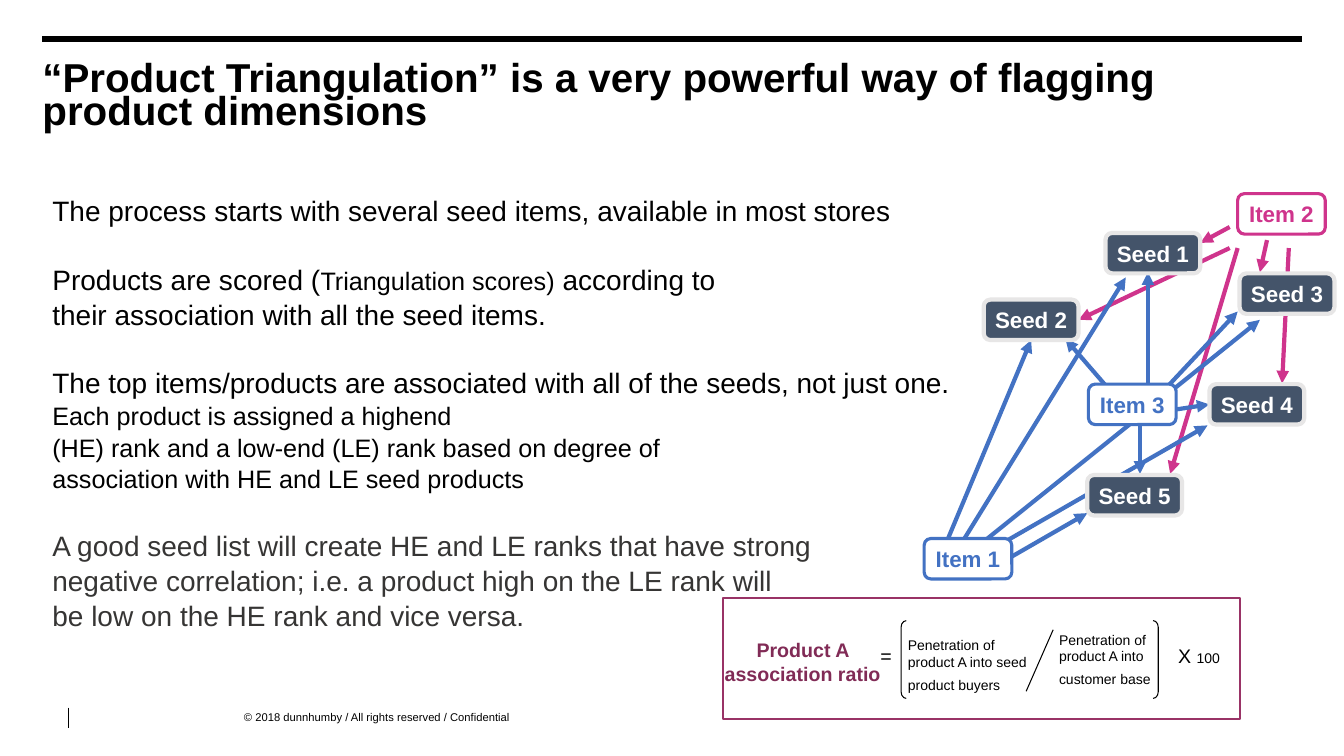
from lxml import etree
from pptx import Presentation
from pptx.dml.color import RGBColor
from pptx.enum.shapes import MSO_CONNECTOR, MSO_SHAPE
from pptx.enum.text import MSO_ANCHOR, PP_ALIGN
from pptx.oxml.ns import qn
from pptx.util import Cm, Pt

STRAIGHT = MSO_CONNECTOR.STRAIGHT
ROUNDED, RECTANGLE = MSO_SHAPE.ROUNDED_RECTANGLE, MSO_SHAPE.RECTANGLE
LEFT_BRACKET, RIGHT_BRACKET = MSO_SHAPE.LEFT_BRACKET, MSO_SHAPE.RIGHT_BRACKET
TOP, MIDDLE = MSO_ANCHOR.TOP, MSO_ANCHOR.MIDDLE
LEFT, CENTER = PP_ALIGN.LEFT, PP_ALIGN.CENTER

BLACK = RGBColor(0x00, 0x00, 0x00)
WHITE = RGBColor(0xFF, 0xFF, 0xFF)
CHARCOAL = RGBColor(0x36, 0x35, 0x34)
SLATE = RGBColor(0x44, 0x54, 0x6A)
PALE = RGBColor(0xE7, 0xE6, 0xE6)
BLUE = RGBColor(0x43, 0x72, 0xC3)
PINK = RGBColor(0xCF, 0x34, 0x8C)
PLUM = RGBColor(0x81, 0x2B, 0x56)
FRAME = RGBColor(0x99, 0x33, 0x66)

RIGHT_SIDE, LEFT_SIDE, BOTTOM_SIDE = 3, 1, 2

BODY = [
    ([("The process starts with several seed items, available in most stores", 20)], 0, BLACK),
    ([("Products are scored (", 20), ("Triangulation scores)", 18), (" according to", 20)], 24, BLACK),
    ([("their association with all the seed items.", 20)], 0, BLACK),
    ([("The top items/products are associated with all of the seeds, not just one.", 20)], 24, BLACK),
    ([("Each product is assigned a highend", 18)], 0, BLACK),
    ([("(HE) rank and a low-end (LE) rank based on degree of", 18)], 0, BLACK),
    ([("association with HE and LE seed products", 18)], 0, BLACK),
    ([("A good seed list will create HE and LE ranks that have strong", 20)], 24, CHARCOAL),
    ([("negative correlation; i.e. a product high on the LE rank will", 20)], 0, CHARCOAL),
    ([("be low on the HE rank and vice versa.", 20)], 0, CHARCOAL),
]

NODES = [
    ("Seed 1", 4.57, 0.99), ("Seed 2", 1.5, 2.67), ("Seed 4", 7.19, 4.8),
    ("Item 3", 4.14, 4.8), ("Seed 5", 4.11, 7.09), ("Item 1", 0, 8.69),
    ("Item 2", 7.9, 0), ("Seed 3", 7.95, 2.01),
]
ITEM_COLOURS = {"Item 1": BLUE, "Item 2": PINK, "Item 3": BLUE}

ARROWS = [
    (PINK, (8.64, 1.17), (8.46, 1.98), None),
    (PINK, (7.7, 0.84), (6.96, 1.24), None),
    (PINK, (9.19, 1.37), (9.02, 4.78), None),
    (PINK, (7.9, 1.37), (6.2, 7.06), None),
    (PINK, (7.7, 1.37), (3.94, 3.25), ("Seed 2", RIGHT_SIDE)),
    (BLUE, (6.2, 5.46), (7.14, 5.38), ("Seed 4", LEFT_SIDE)),
    (BLUE, (5.44, 5.84), (5.44, 7.06), None),
    (BLUE, (4.7, 4.98), (3.56, 3.66), None),
    (BLUE, (5.64, 4.98), (5.64, 1.98), None),
    (BLUE, (6.02, 4.98), (7.9, 2.97), None),
    (BLUE, (0.56, 8.79), (2.62, 3.66), ("Seed 2", BOTTOM_SIDE)),
    (BLUE, (0.91, 8.86), (5.08, 2.11), None),
    (BLUE, (1.12, 9.07), (8.46, 3.18), None),
    (BLUE, (0.94, 9.4), (7.14, 5.84), None),
    (BLUE, (1.68, 9.45), (4.11, 8.05), None),
]

FORMULA_TEXTS = [
    ([("Product A association ratio", 14)], (-0.23, 0.89, 4.5, 1.45), PLUM, True, CENTER),
    ([("=", 14)], (3.73, 1.04, 0.71, 0.84), BLACK, False, LEFT),
    ([("Penetration of product A into seed product buyers", 10), (" ", 14)],
     (4.42, 0.86, 3.56, 1.7), BLACK, False, LEFT),
    ([("Penetration of product A into customer base", 10), (" ", 14)],
     (8.23, 0.71, 3.15, 1.7), BLACK, False, LEFT),
    ([("X ", 14), ("100", 10)], (11.23, 1.04, 1.8, 0.84), BLACK, False, LEFT),
]


def write(para, spans, colour=BLACK, bold=False, align=LEFT, spacing=None, before=0):
    para.alignment = align
    if spacing:
        para.line_spacing = spacing
    if before:
        para.space_before = Pt(before)
    for text, size in spans:
        span = para.add_run()
        span.text = text
        span.font.name = "Arial"
        span.font.size = Pt(size)
        span.font.bold = bold
        span.font.color.rgb = colour


def set_margins(frame, side, top, bottom):
    frame.margin_left = frame.margin_right = Cm(side)
    frame.margin_top, frame.margin_bottom = Cm(top), Cm(bottom)


def add_text(page, left, top, width, height, side=0.25, inset=0.13):
    box = page.shapes.add_textbox(Cm(left), Cm(top), Cm(width), Cm(height))
    frame = box.text_frame
    frame.word_wrap = True
    frame.vertical_anchor = TOP
    set_margins(frame, side, inset, min(inset, 0.13))
    return frame


def add_line(page, start, end, colour, weight, arrow=False):
    line = page.shapes.add_connector(STRAIGHT, *(Cm(value) for value in start + end))
    line.line.color.rgb = colour
    line.line.width = Pt(weight)
    properties = line.element.spPr
    if arrow:
        etree.SubElement(properties.find(qn("a:ln")), qn("a:tailEnd"), type="triangle")
    etree.SubElement(properties, qn("a:effectLst"))
    return line


def add_outline(page, kind, left, top, width, height, colour, weight, fill=None):
    shape = page.shapes.add_shape(kind, Cm(left), Cm(top), Cm(width), Cm(height))
    shape.shadow.inherit = False
    if fill is None:
        shape.fill.background()
    else:
        shape.fill.solid()
        shape.fill.fore_color.rgb = fill
    shape.line.color.rgb = colour
    shape.line.width = Pt(weight)
    return shape


def draw_header(page, left, top, width):
    add_line(page, (left, top), (left + width, top), BLACK, 4)
    title = add_text(page, left, top + 0.69, width, 1.12, side=0, inset=0)
    write(title.paragraphs[0],
          [("“Product Triangulation” is a very powerful way of flagging product dimensions", 28.8)],
          bold=True, spacing=Pt(24))


def draw_footer(page, left, top):
    add_line(page, (left, top), (left, top + 0.51), BLACK, 1)
    notice = add_text(page, left + 4.42, top + 0.08, 8.74, 0.33, side=0, inset=0)
    write(notice.paragraphs[0], [("© 2018 dunnhumby / All rights reserved / Confidential", 8)])


def draw_body(page, left, top, width, height):
    frame = add_text(page, left, top, width, height, inset=0.99)
    for index, (spans, before, colour) in enumerate(BODY):
        para = frame.add_paragraph() if index else frame.paragraphs[0]
        write(para, spans, colour=colour, spacing=1.04, before=before)


def draw_network(page, left, top):
    nodes = {}
    for name, x, y in NODES:
        accent = ITEM_COLOURS.get(name)
        width, fill, edge, weight, ink = (
            (2.21, WHITE, accent, 2.25, accent) if accent else (2.39, SLATE, PALE, 3, WHITE))
        node = add_outline(page, ROUNDED, left + x, top + y, width, 1.02, edge, weight, fill)
        frame = node.text_frame
        frame.word_wrap = False
        frame.vertical_anchor = MIDDLE
        set_margins(frame, 0.23, 0.13, 0.13)
        write(frame.paragraphs[0], [(name, 16)], colour=ink, bold=True, align=CENTER)
        nodes[name] = node
    backmost = nodes[NODES[0][0]]
    for colour, start, end, joint in ARROWS:
        start, end = ((left + x, top + y) for x, y in (start, end))
        arrow = add_line(page, start, end, colour, 3, arrow=True)
        if joint:
            name, side = joint
            arrow.end_connect(nodes[name], side)
        backmost.element.addprevious(arrow.element)


def draw_formula(page, left, top, width, height):
    for spans, (x, y, box_width, box_height), colour, bold, align in FORMULA_TEXTS:
        frame = add_text(page, left + x, top + y, box_width, box_height)
        write(frame.paragraphs[0], spans, colour=colour, bold=bold, align=align)
    add_line(page, (left + 8.33, top + 0.81), (left + 7.65, top + 2.36), BLACK, 0.75)
    for kind, x in ((LEFT_BRACKET, 4.5), (RIGHT_BRACKET, 10.85)):
        bracket = add_outline(page, kind, left + x, top + 0.58, 0.13, 1.96, BLACK, 0.75)
        bracket.adjustments[0] = 1.27
    add_outline(page, RECTANGLE, left, top, width, height, FRAME, 1.5)


def main():
    deck = Presentation()
    deck.slide_width, deck.slide_height = Cm(33.87), Cm(19.05)
    page = deck.slides.add_slide(deck.slide_layouts[6])
    draw_header(page, 1.07, 0.99, 31.75)
    draw_footer(page, 1.73, 17.83)
    draw_body(page, 1.07, 3.86, 31.75, 13.11)
    draw_network(page, 23.29, 4.88)
    draw_formula(page, 18.21, 15.06, 13.03, 3.07)
    deck.save("out.pptx")


if __name__ == "__main__":
    main()
